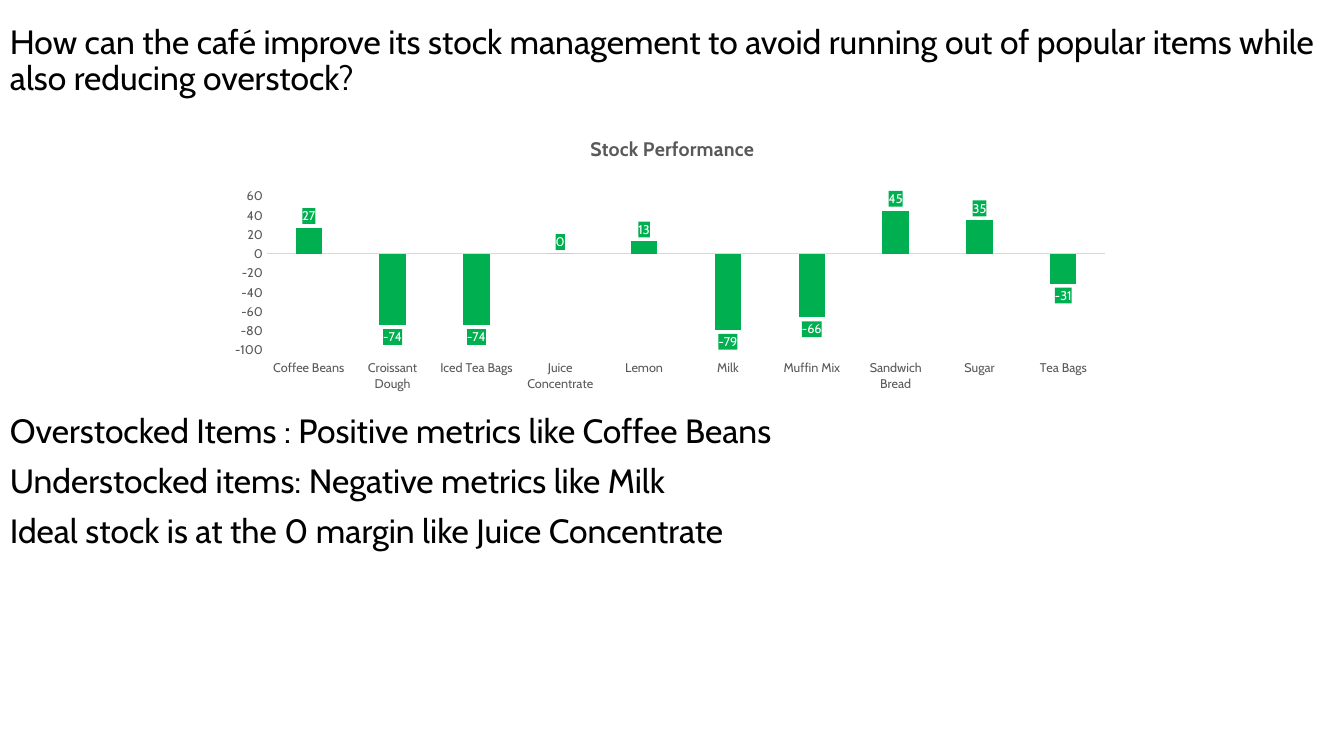
from lxml.etree import SubElement
from pptx import Presentation
from pptx.chart.data import CategoryChartData
from pptx.dml.color import RGBColor
from pptx.enum.chart import XL_CHART_TYPE, XL_LABEL_POSITION, XL_TICK_LABEL_POSITION, XL_TICK_MARK
from pptx.oxml import parse_xml
from pptx.oxml.ns import nsdecls, qn
from pptx.util import Pt

COLORS = {
    "text": "000000",
    "chart_text": "595959",
    "axis": "D9D9D9",
    "bar": "00B050",
    "label": "FFFFFF",
}
FONT = "Cabin"
STOCK = {
    "Coffee Beans": 27,
    "Croissant Dough": -74,
    "Iced Tea Bags": -74,
    "Juice Concentrate": 0,
    "Lemon": 13,
    "Milk": -79,
    "Muffin Mix": -66,
    "Sandwich Bread": 45,
    "Sugar": 35,
    "Tea Bags": -31,
}


def style_font(font, size, color, bold=False):
    font.name = FONT
    font.size = Pt(size)
    font.bold = bold
    font.color.rgb = RGBColor.from_string(COLORS[color])


def add_text(slide, lines, left=0, top=0, width=960, height=70, size=24, color="text"):
    shape = slide.shapes.add_textbox(Pt(left), Pt(top), Pt(width), Pt(height))
    frame = shape.text_frame
    frame.word_wrap = True
    frame.text = "\n".join(lines)
    for index, paragraph in enumerate(frame.paragraphs):
        paragraph.line_spacing = 0.9
        paragraph.space_before = Pt(10 if index else 0)
        style_font(paragraph.runs[0].font, size, color)


presentation = Presentation()
presentation.slide_width = Pt(960)
presentation.slide_height = Pt(540)
slide = presentation.slides.add_slide(presentation.slide_layouts[6])

# Question and takeaways
add_text(slide, ["How can the café improve its stock management to avoid running out of "
                 "popular items while also reducing overstock?"], top=14.4)
add_text(slide, ["Overstocked Items : Positive metrics like Coffee Beans",
                 "Understocked items: Negative metrics like Milk",
                 "Ideal stock is at the 0 margin like Juice Concentrate"], top=292.3, height=110)

# Stock chart
chart_data = CategoryChartData(number_format="0")
chart_data.categories = list(STOCK)
chart_data.add_series("Stock Performance", list(STOCK.values()))
chart = slide.shapes.add_chart(XL_CHART_TYPE.COLUMN_CLUSTERED, Pt(162), Pt(86.4),
                               Pt(636.5), Pt(204.5), chart_data).chart
style_font(chart.font, 10, "text")
chart.has_legend = False
chart.has_title = True
chart.chart_title.text_frame.text = "Stock Performance"
style_font(chart.chart_title.text_frame.paragraphs[0].runs[0].font, 14, "chart_text", bold=True)
chart.chart_title.include_in_layout = False

# Axes
category_axis, value_axis = chart.category_axis, chart.value_axis
for axis in (category_axis, value_axis):
    axis.has_major_gridlines = False
    axis.major_tick_mark = axis.minor_tick_mark = XL_TICK_MARK.NONE
    style_font(axis.tick_labels.font, 9, "chart_text")
category_axis.tick_label_position = XL_TICK_LABEL_POSITION.LOW
category_axis.format.line.width = Pt(0.75)
category_axis.format.line.color.rgb = RGBColor.from_string(COLORS["axis"])
value_axis.format.line.fill.background()
value_axis.minimum_scale, value_axis.maximum_scale = -100, 60
value_axis.major_unit = 20

# Bars
plot = chart.plots[0]
plot.gap_width, plot.overlap = 219, -27
plot.vary_by_categories = False
series = plot.series[0]
series.invert_if_negative = False
series.format.fill.solid()
series.format.fill.fore_color.rgb = RGBColor.from_string(COLORS["bar"])

# Value labels on a filled background
labels = series.data_labels
labels.show_value = True
labels.position = XL_LABEL_POSITION.OUTSIDE_END
labels.number_format, labels.number_format_is_linked = "0", False
style_font(labels.font, 9, "label")
label_fill = parse_xml(f'<c:spPr {nsdecls("c", "a")}><a:solidFill>'
                       f'<a:srgbClr val="{COLORS["bar"]}"/></a:solidFill></c:spPr>')
labels.font  # ensures the text properties exist
labels_xml = series.format.fill and plot._element.find(".//" + qn("c:dLbls"))
labels_xml.find(qn("c:txPr")).addprevious(label_fill)

# Inner plot area, as fractions of the chart
plot_area = plot._element.getparent()
for old_layout in plot_area.findall(qn("c:layout")):
    plot_area.remove(old_layout)
layout = parse_xml(f'<c:layout {nsdecls("c")}><c:manualLayout/></c:layout>')
for tag, value in [("layoutTarget", "inner"), ("xMode", "edge"), ("yMode", "edge"),
                   ("x", 0.045), ("y", 0.263), ("w", 0.941), ("h", 0.538)]:
    SubElement(layout[0], qn(f"c:{tag}")).set("val", str(value))
plot_area.insert(0, layout)

presentation.save("out.pptx")
